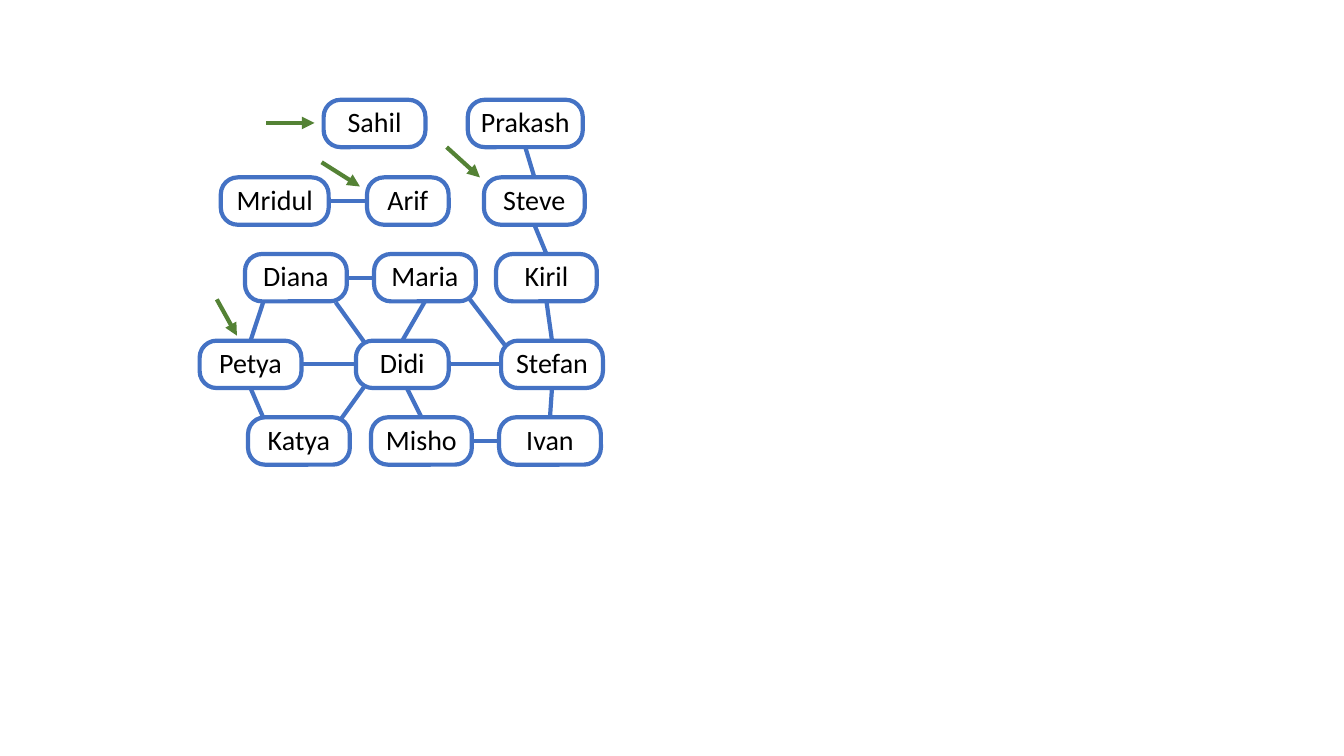
from lxml.etree import SubElement as Sub
from pptx import Presentation
from pptx.dml.color import RGBColor as RGB
from pptx.enum.shapes import MSO_CONNECTOR as Link, MSO_SHAPE as Kind
from pptx.enum.text import MSO_ANCHOR as Anchor, PP_ALIGN as Align
from pptx.oxml.ns import qn
from pptx.util import Pt

PX = 9144  # EMU per px, 100 px to the inch
COLORS = {"edge": "4472C4", "arrow": "548235", "node": "FFFFFF", "text": "000000"}
TOP, LEFT, BOTTOM, RIGHT = range(4)
HIGH = 47

# Rows of people: top, then name, left and width
ROWS = [
    (0, [("Sahil", 123, 101), ("Prakash", 266, 114)]),
    (77, [("Mridul", 21, 107), ("Arif", 166, 81), ("Steve", 282, 100)]),
    (153, [("Diana", 45, 101), ("Maria", 173, 101), ("Kiril", 294, 100)]),
    (239, [("Petya", 0, 101), ("Didi", 155, 92), ("Stefan", 299, 101)]),
    (315, [("Katya", 48, 101), ("Misho", 170, 100), ("Ivan", 297, 101)]),
]
ACROSS = [("Mridul", "Arif"), ("Diana", "Maria"), ("Petya", "Didi"),
          ("Didi", "Stefan"), ("Misho", "Ivan")]
DOWN = [("Prakash", "Steve"), ("Steve", "Kiril"), ("Kiril", "Stefan"),
        ("Stefan", "Ivan"), ("Maria", "Didi")]
# Ends are a person's side or a point
SLANTS = [
    ((63, 201), ("Petya", TOP)),
    ((135, 201), (163, 240)),
    ((163, 285), (140, 317)),
    (("Petya", BOTTOM), (63, 315)),
    ((206, 287), ("Misho", TOP)),
    ((268, 198), (304, 245)),
]
ARROWS = [
    ((66, 23), (114, 23)),
    ((121, 62), (159, 86)),
    ((245, 47), (278, 77)),
    ((17, 198), (37, 234)),
]


def paint(line, color):
    line.color.rgb = RGB.from_string(COLORS[color])
    line.width = Pt(3)


def add_node(slide, name, x, y, wide):
    node = slide.shapes.add_shape(
        Kind.ROUNDED_RECTANGLE, x * PX, y * PX, wide * PX, HIGH * PX)
    node.adjustments[0] = 0.358
    node.shadow.inherit = False
    node.fill.solid()
    node.fill.fore_color.rgb = RGB.from_string(COLORS["node"])
    paint(node.line, "edge")
    frame = node.text_frame
    frame.word_wrap = True
    frame.vertical_anchor = Anchor.MIDDLE
    frame.margin_left = frame.margin_right = frame.margin_top = 0
    frame.margin_bottom = 4 * PX
    para = frame.paragraphs[0]
    para.alignment = Align.CENTER
    run = para.add_run()
    run.text = name
    run.font.name = "Calibri"
    run.font.size = Pt(20)
    run.font.color.rgb = RGB.from_string(COLORS["text"])
    return node


def add_line(slide, start, end, color):
    line = slide.shapes.add_connector(
        Link.STRAIGHT, *(v * PX for v in start + end))
    paint(line.line, color)
    Sub(line.element.spPr, qn("a:effectLst"))
    return line


def add_graph(slide, box):
    left, top = box

    # People
    nodes = {}
    for y, row in ROWS:
        for name, x, wide in row:
            nodes[name] = add_node(slide, name, left + x, top + y, wide)

    def place(end):
        if end[0] in nodes:
            return (left, top)  # moved when joined
        return (left + end[0], top + end[1])

    # Friendships
    edges = [((a, RIGHT), (b, LEFT)) for a, b in ACROSS]
    edges += [((a, BOTTOM), (b, TOP)) for a, b in DOWN]
    for start, end in edges + SLANTS:
        line = add_line(slide, place(start), place(end), "edge")
        if start[0] in nodes:
            line.begin_connect(nodes[start[0]], start[1])
        if end[0] in nodes:
            line.end_connect(nodes[end[0]], end[1])

    # Arrows to one person in each group
    for start, end in ARROWS:
        line = add_line(slide, place(start), place(end), "arrow")
        Sub(line.line._get_or_add_ln(), qn("a:tailEnd"), type="triangle")


def main():
    deck = Presentation()
    deck.slide_width, deck.slide_height = 1333 * PX, 750 * PX
    slide = deck.slides.add_slide(deck.slide_layouts[6])
    add_graph(slide, (198, 99))
    deck.save("out.pptx")


if __name__ == "__main__":
    main()
